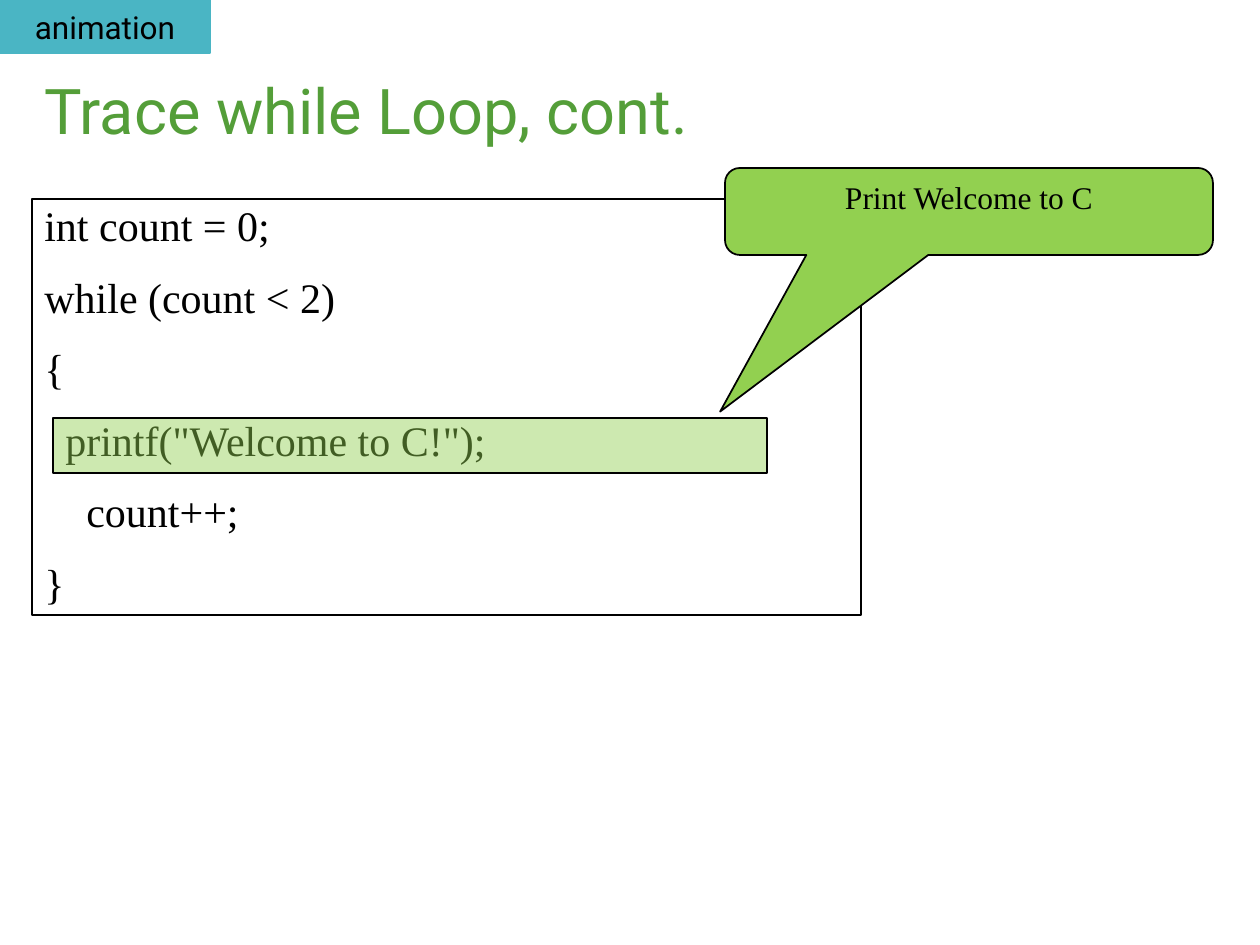
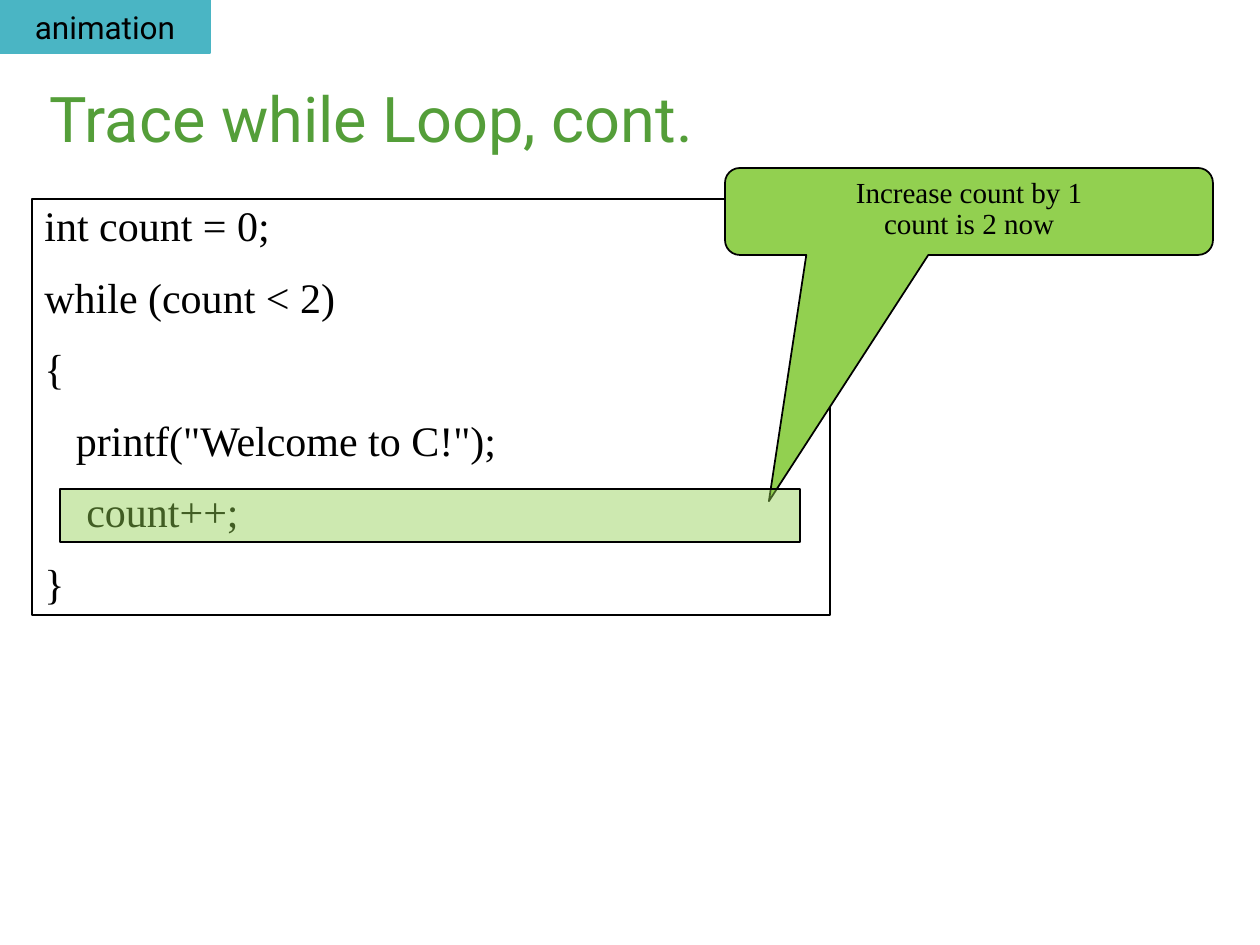
"""Build two slides that trace a while loop step by step."""
from lxml import etree
from pptx import Presentation
from pptx.dml.color import RGBColor
from pptx.enum.shapes import MSO_SHAPE
from pptx.enum.text import MSO_ANCHOR, MSO_AUTO_SIZE, PP_ALIGN
from pptx.oxml.ns import qn
from pptx.util import Emu, Pt

PX = 914400 / 126
RECTANGLE = MSO_SHAPE.RECTANGLE
CALLOUT = MSO_SHAPE.ROUNDED_RECTANGULAR_CALLOUT
TOP, MIDDLE = MSO_ANCHOR.TOP, MSO_ANCHOR.MIDDLE
LEFT, CENTER = PP_ALIGN.LEFT, PP_ALIGN.CENTER
NO_FIT, GROW = MSO_AUTO_SIZE.NONE, MSO_AUTO_SIZE.SHAPE_TO_FIT_TEXT

BLACK = RGBColor(0x00, 0x00, 0x00)
TITLE_GREEN = RGBColor(0x54, 0x9E, 0x39)
LIME = RGBColor(0x92, 0xD0, 0x50)
TEAL = RGBColor(0x4A, 0xB5, 0xC4)
HEADING_FONT, CODE_FONT = "Roboto", "Times New Roman"
TIGHT = 0.9


def write(shape, text, size, font=CODE_FONT, color=BLACK, align=LEFT,
          anchor=TOP, spacing=1.0, gap=0, wrap=True, fit=NO_FIT):
    frame = shape.text_frame
    frame.text = text
    frame.word_wrap = wrap
    frame.auto_size = fit
    frame.vertical_anchor = anchor
    for number, paragraph in enumerate(frame.paragraphs):
        paragraph.alignment = align
        paragraph.line_spacing = spacing
        paragraph.space_before = Pt(gap if number else 0)
        for run in paragraph.runs:
            run.font.name = font
            run.font.size = Pt(size)
            run.font.color.rgb = color


def add_box(slide, kind, area, fill=None, line=BLACK, width=1):
    box = slide.shapes.add_shape(kind, *[Emu(round(n * PX)) for n in area])
    box.shadow.inherit = False
    if fill is None:
        box.fill.background()
    else:
        box.fill.solid()
        box.fill.fore_color.rgb = fill
    box.line.color.rgb = line
    box.line.width = Pt(width)
    return box


steps = [
    {"title_at": (32, 62), "code_width": 829, "print_indent": "  ",
     "remark": "Print Welcome to C", "remark_size": 18, "remark_spacing": 1.0,
     "pointer": (-0.51, 2.3), "highlight": (53, 418, 714, 55)},
    {"title_at": (37, 70), "code_width": 798, "print_indent": "   ",
     "remark": "Increase count by 1\ncount is 2 now", "remark_size": 16.6,
     "remark_spacing": TIGHT, "pointer": (-0.41, 3.33),
     "highlight": (60, 489, 740, 53)},
]

deck = Presentation()
deck.slide_width, deck.slide_height = Emu(round(1260 * PX)), Emu(round(945 * PX))

for step in steps:
    slide = deck.slides.add_slide(deck.slide_layouts[5])

    title = slide.shapes.title
    title.left, title.top, title.width, title.height = [
        Emu(round(n * PX)) for n in (*step["title_at"], 1071, 105)]
    write(title, "Trace while Loop, cont.", 36, font=HEADING_FONT,
          color=TITLE_GREEN, anchor=MIDDLE, spacing=TIGHT)

    code_lines = ["int count = 0;", "while (count < 2)", "{",
                  step["print_indent"] + 'printf("Welcome to C!");',
                  "    count++;", "}"]
    code = add_box(slide, RECTANGLE, (32, 199, step["code_width"], 416), width=0.75)
    write(code, "\n".join(code_lines), 24, spacing=TIGHT, gap=15, fit=GROW)

    remark = add_box(slide, CALLOUT, (725, 168, 488, 87), fill=LIME)
    for index, value in enumerate((*step["pointer"], 0.17)):
        remark.adjustments[index] = value
    write(remark, step["remark"], step["remark_size"], align=CENTER,
          spacing=step["remark_spacing"])

    highlight = add_box(slide, RECTANGLE, step["highlight"], fill=LIME)
    highlight_color = highlight.element.spPr.find(qn("a:solidFill")).find(qn("a:srgbClr"))
    etree.SubElement(highlight_color, qn("a:alpha"), val="45000")

    tag = add_box(slide, RECTANGLE, (0, 0, 210, 53), fill=TEAL, line=TEAL)
    write(tag, "animation", 18, font=HEADING_FONT, align=CENTER,
          anchor=MIDDLE, wrap=False)

deck.save("out.pptx")
